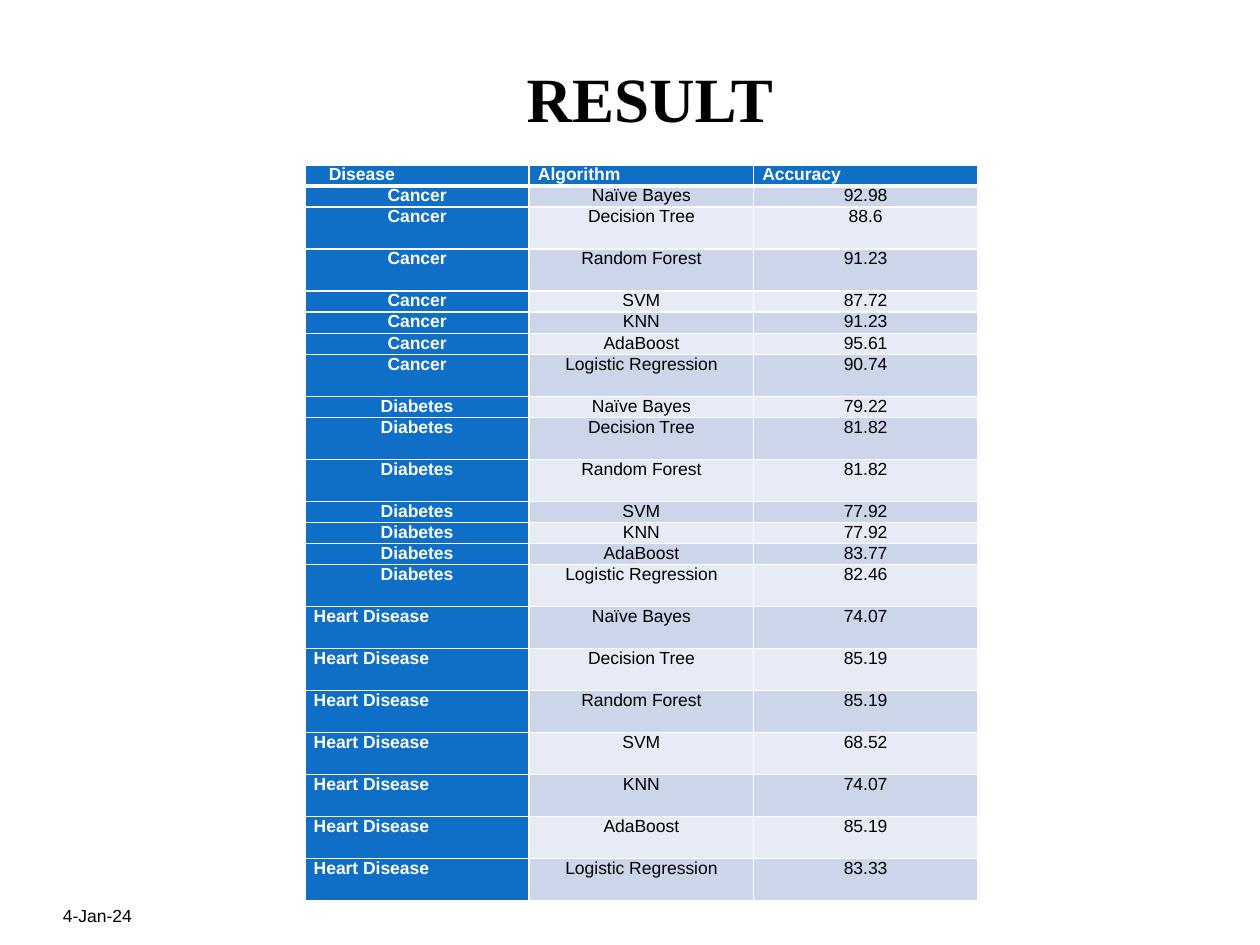
from dataclasses import dataclass

from lxml.etree import SubElement
from pptx import Presentation
from pptx.dml.color import RGBColor
from pptx.enum.text import MSO_ANCHOR as Anchor, MSO_AUTO_SIZE as AutoSize, PP_ALIGN as Align
from pptx.oxml.ns import qn
from pptx.util import Inches, Pt

BLACK, WHITE, BLUE = "000000", "FFFFFF", "0F6FC6"
BANDS = ("CCD5EA", "E7EBF5")
COLUMN_WIDTH = 1.78
LINE_HEIGHT = 5.83 / 35  # the rows add up to 35 text lines
CELL_INSET = 0.07


@dataclass(frozen=True)
class Algorithm:
    name: str
    lines: int


@dataclass(frozen=True)
class Disease:
    name: str
    align: Align
    min_lines: int
    accuracies: tuple[str, ...]


@dataclass(frozen=True)
class CellStyle:
    fill: str
    color: str
    bold: bool
    align: Align
    left: float = CELL_INSET
    top_border: float = 1
    bottom_border: float = 1


ALGORITHMS = (
    Algorithm("Naïve Bayes", 1),
    Algorithm("Decision Tree", 2),
    Algorithm("Random Forest", 2),
    Algorithm("SVM", 1),
    Algorithm("KNN", 1),
    Algorithm("AdaBoost", 1),
    Algorithm("Logistic Regression", 2),
)
DISEASES = (
    Disease("Cancer", Align.CENTER, 1,
            ("92.98", "88.6", "91.23", "87.72", "91.23", "95.61", "90.74")),
    Disease("Diabetes", Align.CENTER, 1,
            ("79.22", "81.82", "81.82", "77.92", "77.92", "83.77", "82.46")),
    Disease("Heart Disease", Align.LEFT, 2,
            ("74.07", "85.19", "85.19", "68.52", "74.07", "85.19", "83.33")),
)
# Header labels with their left insets
HEADERS = (("Disease", 0.19), ("Algorithm", CELL_INSET), ("Accuracy", CELL_INSET))


def rgb(value: str) -> RGBColor:
    return RGBColor.from_string(value)


def add_run(paragraph, text: str, size: float, font: str = "Arial",
            color: str = BLACK, bold: bool = False) -> None:
    run = paragraph.add_run()
    run.text = text
    run.font.size = Pt(size)
    run.font.name = font
    run.font.bold = bold
    run.font.color.rgb = rgb(color)


def set_borders(cell, style: CellStyle) -> None:
    properties = cell._tc.get_or_add_tcPr()
    widths = {"a:lnL": 1, "a:lnR": 1, "a:lnT": style.top_border, "a:lnB": style.bottom_border}
    for position, (tag, width) in enumerate(widths.items()):
        line = SubElement(properties, qn(tag), w=str(Pt(width)))
        SubElement(SubElement(line, qn("a:solidFill")), qn("a:srgbClr"), val=WHITE)
        properties.insert(position, line)  # borders come before the fill


def fill_cell(cell, text: str, style: CellStyle) -> None:
    cell.margin_left, cell.margin_right = Inches(style.left), Inches(CELL_INSET)
    cell.margin_top = cell.margin_bottom = 0
    cell.vertical_anchor = Anchor.TOP
    cell.fill.solid()
    cell.fill.fore_color.rgb = rgb(style.fill)
    set_borders(cell, style)
    paragraph = cell.text_frame.paragraphs[0]
    paragraph.alignment = style.align
    add_run(paragraph, text, 10, color=style.color, bold=style.bold)


def add_title(slide) -> None:
    title = slide.shapes.title
    title.left, title.top = Inches(4.08), Inches(0.42)
    title.width, title.height = Inches(2.33), Inches(0.71)
    title.text_frame.auto_size = AutoSize.SHAPE_TO_FIT_TEXT
    heading = title.text_frame.paragraphs[0]
    heading.alignment = Align.LEFT
    add_run(heading, "RESULT", 36, "Times New Roman", bold=True)


def add_date(slide) -> None:
    frame = slide.shapes.add_textbox(Inches(0.5), Inches(6.95), Inches(2.33), Inches(0.4)).text_frame
    frame.word_wrap = True
    frame.vertical_anchor = Anchor.BOTTOM
    frame.margin_left = frame.margin_right = frame.margin_top = frame.margin_bottom = 0
    add_run(frame.paragraphs[0], "4-Jan-24", 10)


def add_results(slide) -> None:
    row_count = 1 + len(DISEASES) * len(ALGORITHMS)
    results = slide.shapes.add_table(
        row_count, len(HEADERS), Inches(2.42), Inches(1.31),
        Inches(COLUMN_WIDTH * len(HEADERS)), Inches(LINE_HEIGHT * 35)).table
    results.horz_banding = False
    for column in results.columns:
        column.width = Inches(COLUMN_WIDTH)

    # Header row
    results.rows[0].height = Inches(LINE_HEIGHT)
    for column, (label, left) in enumerate(HEADERS):
        fill_cell(results.cell(0, column), label,
                  CellStyle(BLUE, WHITE, True, Align.JUSTIFY, left, bottom_border=3))

    # One row for each disease and algorithm
    records = [(disease, algorithm, accuracy) for disease in DISEASES
               for algorithm, accuracy in zip(ALGORITHMS, disease.accuracies)]
    for row, (disease, algorithm, accuracy) in enumerate(records, start=1):
        results.rows[row].height = Inches(LINE_HEIGHT * max(algorithm.lines, disease.min_lines))
        top = 3 if row == 1 else 1
        fill_cell(results.cell(row, 0), disease.name,
                  CellStyle(BLUE, WHITE, True, disease.align, top_border=top))
        value_style = CellStyle(BANDS[(row - 1) % 2], BLACK, False, Align.CENTER, top_border=top)
        fill_cell(results.cell(row, 1), algorithm.name, value_style)
        fill_cell(results.cell(row, 2), accuracy, value_style)


def main() -> None:
    deck = Presentation()
    deck.slide_width, deck.slide_height = Inches(10), Inches(7.5)
    slide = deck.slides.add_slide(deck.slide_layouts[5])
    add_date(slide)
    add_title(slide)
    add_results(slide)
    deck.save("out.pptx")


if __name__ == "__main__":
    main()
